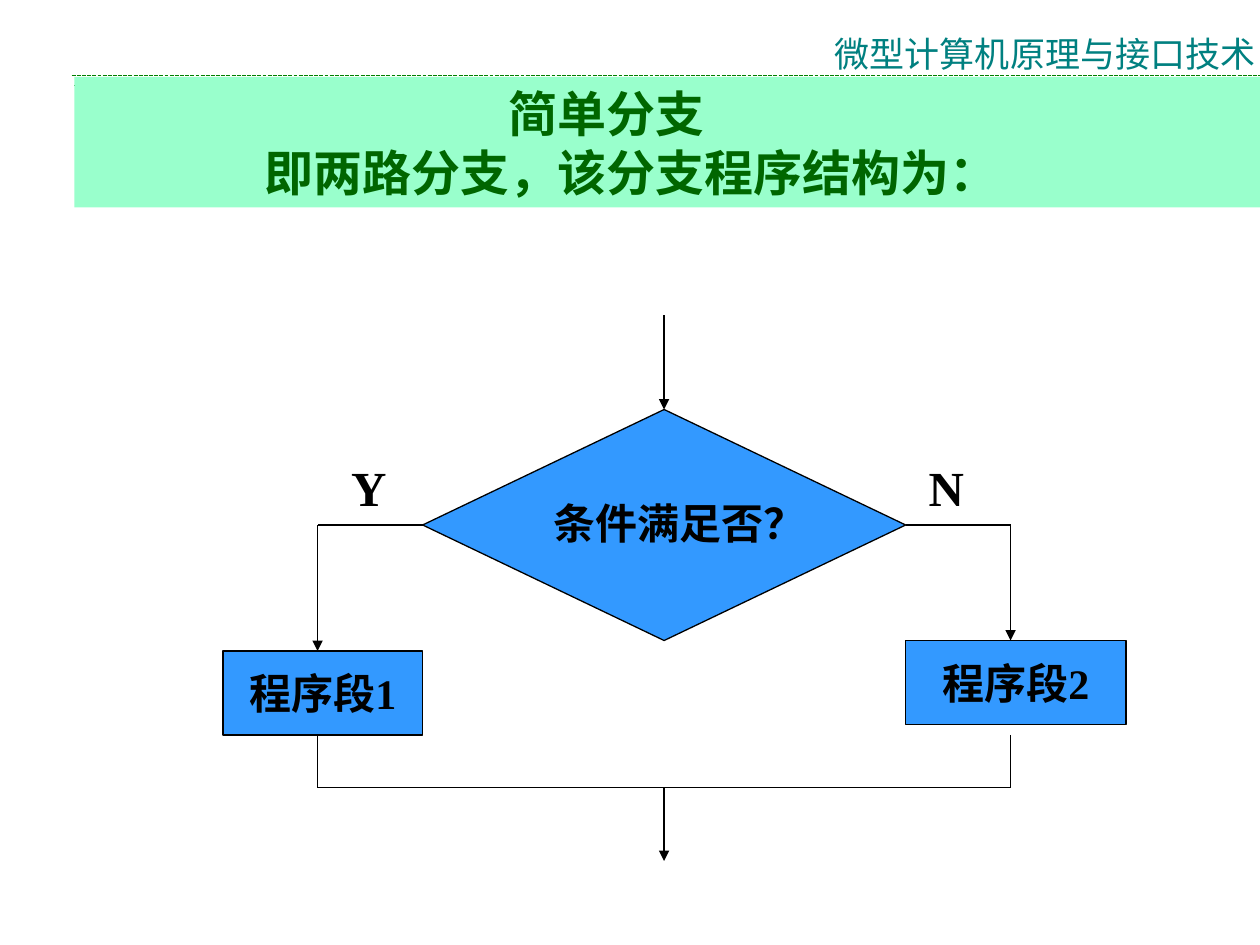
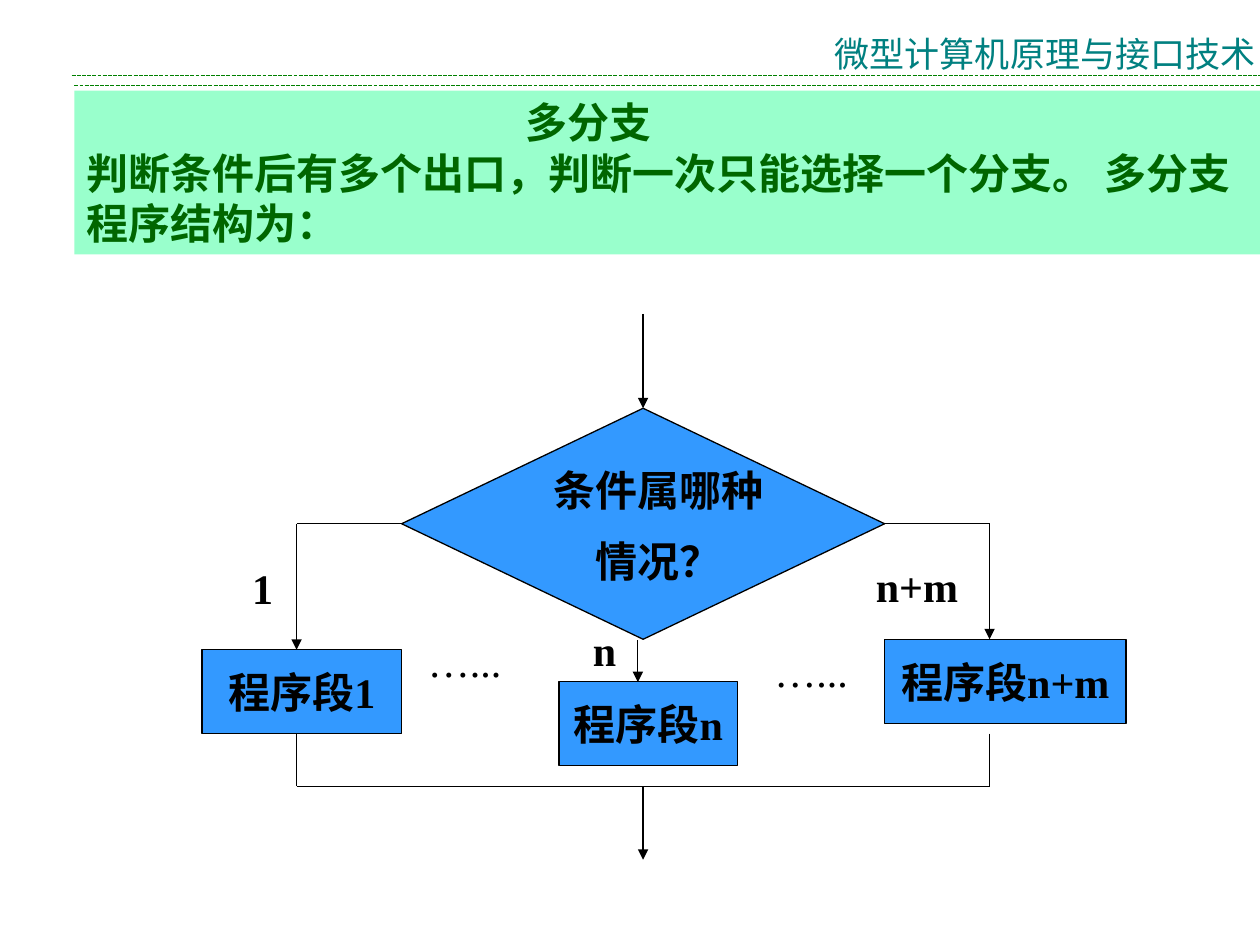
from dataclasses import dataclass
from lxml import etree
from pptx import Presentation
from pptx.dml.color import RGBColor as RGB
from pptx.enum.dml import MSO_LINE as Dash
from pptx.enum.shapes import MSO_CONNECTOR as Conn, MSO_SHAPE as Shape
from pptx.enum.text import MSO_ANCHOR as Anchor, PP_ALIGN as Align
from pptx.oxml.ns import qn
from pptx.util import Pt


@dataclass(frozen=True)
class Theme:
    course: RGB = RGB(0x00, 0x80, 0x80)
    rule: RGB = RGB(0x00, 0x80, 0x00)
    band: RGB = RGB(0x99, 0xFF, 0xCC)
    title: RGB = RGB(0x00, 0x66, 0x00)
    node: RGB = RGB(0x33, 0x99, 0xFF)
    ink: RGB = RGB(0x00, 0x00, 0x00)
    course_font: str = "Noto Sans CJK SC"
    body_font: str = "Times New Roman"
    course_size: int = 20
    body_size: int = 24
    large_size: int = 28
    line_width: float = 0.75


T = Theme()
WIDTH, HEIGHT = 720, 540


def write(sp, text, size=T.body_size, color=T.ink, bold=True, font=T.body_font,
          align=Align.CENTER, anchor=Anchor.MIDDLE, wrap=False):
    tf = sp.text_frame
    tf.text = text
    tf.word_wrap = wrap
    tf.vertical_anchor = anchor
    if not wrap:
        tf.margin_left = tf.margin_right = 0
    for p in tf.paragraphs:
        p.alignment = align
        for r in p.runs:
            r.font.name = font
            r.font.size = Pt(size)
            r.font.bold = bold
            r.font.color.rgb = color
    return tf


def add_label(s, box, text, **style):
    return write(s.shapes.add_textbox(*map(Pt, box)), text, **style)


def add_node(s, kind, box, fill, line=None):
    sp = s.shapes.add_shape(kind, *map(Pt, box))
    sp.shadow.inherit = False
    sp.fill.solid()
    sp.fill.fore_color.rgb = fill
    if line is None:
        sp.line.fill.background()
    else:
        sp.line.color.rgb = line
        sp.line.width = Pt(T.line_width)
    return sp


def add_line(s, start, end, color=T.ink, arrow=False):
    cn = s.shapes.add_connector(Conn.STRAIGHT, *map(Pt, (*start, *end)))
    cn.line.color.rgb = color
    cn.line.width = Pt(T.line_width)
    if arrow:
        etree.SubElement(cn.line._get_or_add_ln(), qn("a:tailEnd"), type="triangle")
    etree.SubElement(cn._element.spPr, qn("a:effectLst"))
    return cn


def add_header(s):
    for x, y in ((42.5, 49), (41, 43.2)):
        add_line(s, (x, y), (WIDTH, y), T.rule).line.dash_style = Dash.SQUARE_DOT
    add_label(s, (475, 15, 244.5, 20), "微型计算机原理与接口技术",
              size=T.course_size, color=T.course, bold=False,
              font=T.course_font, anchor=Anchor.TOP)


def add_title_band(s, top, height, size, lines):
    sp = add_node(s, Shape.RECTANGLE, (42.5, top, WIDTH - 42.5, height), T.band)
    tf = write(sp, "\n".join(text for text, _ in lines), size=size,
               color=T.title, align=Align.LEFT, wrap=True)
    for p, (_, indent) in zip(tf.paragraphs, lines):
        p._p.get_or_add_pPr().set("indent", str(Pt(indent)))


def add_flow(s, left, top, question, question_box, right_text, right_width):
    def at(x, y):
        return left + x, top + y

    def line(start, end, arrow=False):
        add_line(s, at(*start), at(*end), arrow=arrow)

    def label(box, text, **style):
        return add_label(s, (*at(*box[:2]), *box[2:]), text, **style)

    def step(x, y, width, text):
        sp = add_node(s, Shape.RECTANGLE, (*at(x, y), width, 48), T.node, T.ink)
        write(sp, text)

    middle, right, branch, merge = 198, 396, 120, 270
    add_node(s, Shape.FLOWCHART_DECISION, (*at(60, 54), 276, 132), T.node, T.ink)
    tf = label(question_box, question, wrap=True)
    for p in tf.paragraphs[1:]:
        p.space_before = Pt(15)
    if len(tf.paragraphs) > 1:
        for p in tf.paragraphs:
            p.line_spacing = 0.9

    line((middle, 0), (middle, 54), arrow=True)
    for rail, corner, step_top in ((0, 60, 192), (right, 336, 186)):
        line((corner, branch), (rail, branch))
        line((rail, branch), (rail, step_top), arrow=True)
        line((rail, 240), (rail, merge))
    line((0, merge), (right, merge))
    line((middle, merge), (middle, 312), arrow=True)
    step(-54, 192, 114, "程序段1")
    step(336, 186, right_width, right_text)
    return line, label, step


def build_simple_branch(s):
    add_header(s)
    add_title_band(s, 44, 74.5, T.large_size,
                   (("简单分支", 241), ("即两路分支，该分支程序结构为：", 101.5)))
    _, label, _ = add_flow(s, 181.5, 180, "条件满足否？", (108, 100.5, 198, 36),
                           "程序段2", 126)
    for x, text in ((12, "Y"), (342, "N")):
        label((x, 78, 34.5, 41), text, size=T.large_size)


def build_multi_branch(s):
    add_header(s)
    add_title_band(s, 51.8, 93.6, T.body_size,
                   (("多分支", 250.5),
                    ("判断条件后有多个出口，判断一次只能选择一个分支。 多分支程序结构为：", 0)))
    line, label, step = add_flow(s, 169.5, 179.3, "条件属哪种\n情况？",
                                 (108, 85.5, 198, 74), "程序段n+m", 138)
    line((195, 186.5), (195, 210.5), arrow=True)
    step(150, 210, 102, "程序段n")
    for x, y, width, text in ((-32.5, 138.5, 26, "1"), (162.5, 174, 27, "n"),
                              (324, 137.5, 61, "n+m")):
        label((x, y, width, 36), text)
    for x, y, width in ((68, 180, 56), (258, 186, 72)):
        label((x, y, width, 36), "…...", bold=False)


def main():
    prs = Presentation()
    prs.slide_width, prs.slide_height = Pt(WIDTH), Pt(HEIGHT)
    for build in (build_simple_branch, build_multi_branch):
        build(prs.slides.add_slide(prs.slide_layouts[6]))
    prs.save("out.pptx")


if __name__ == "__main__":
    main()
